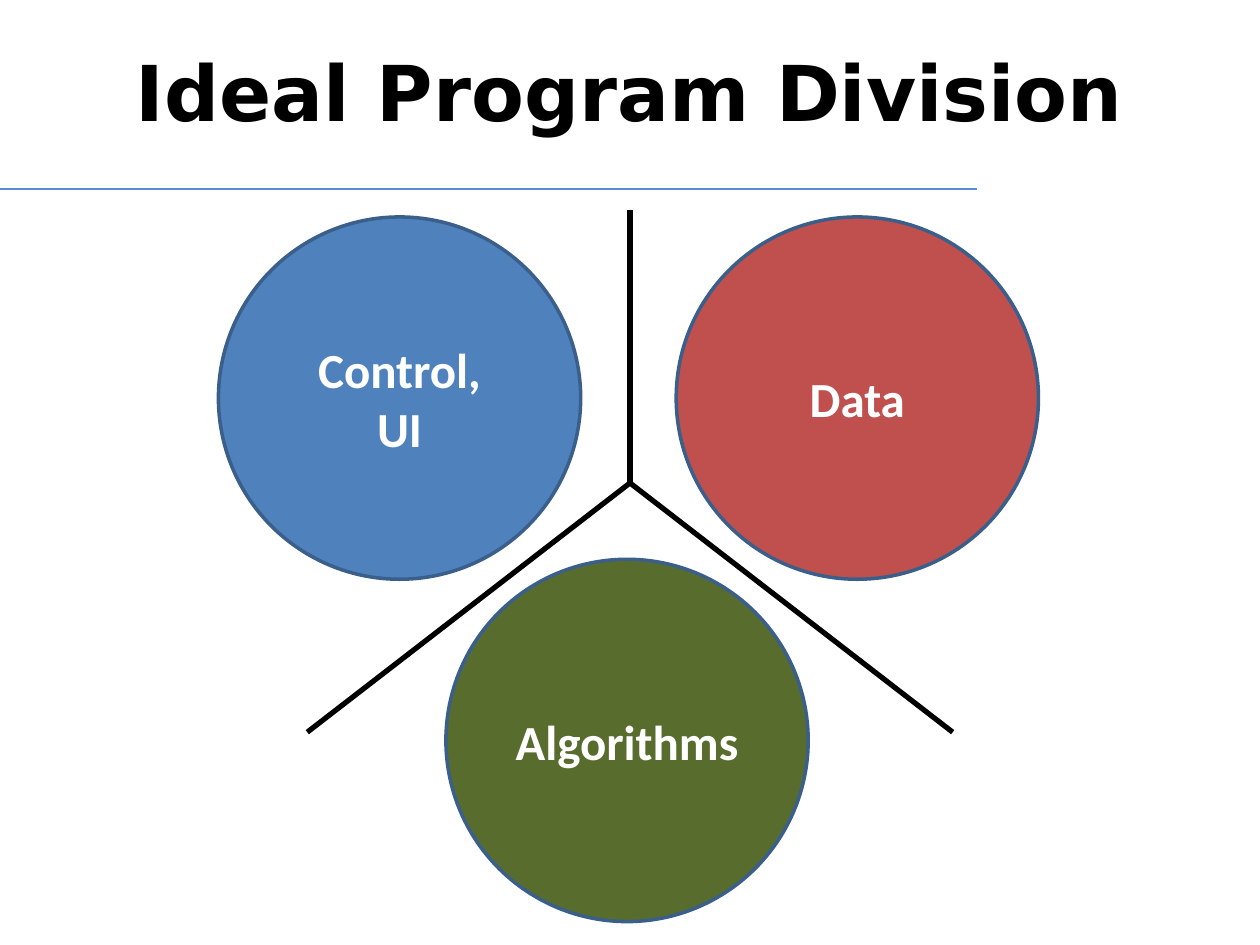
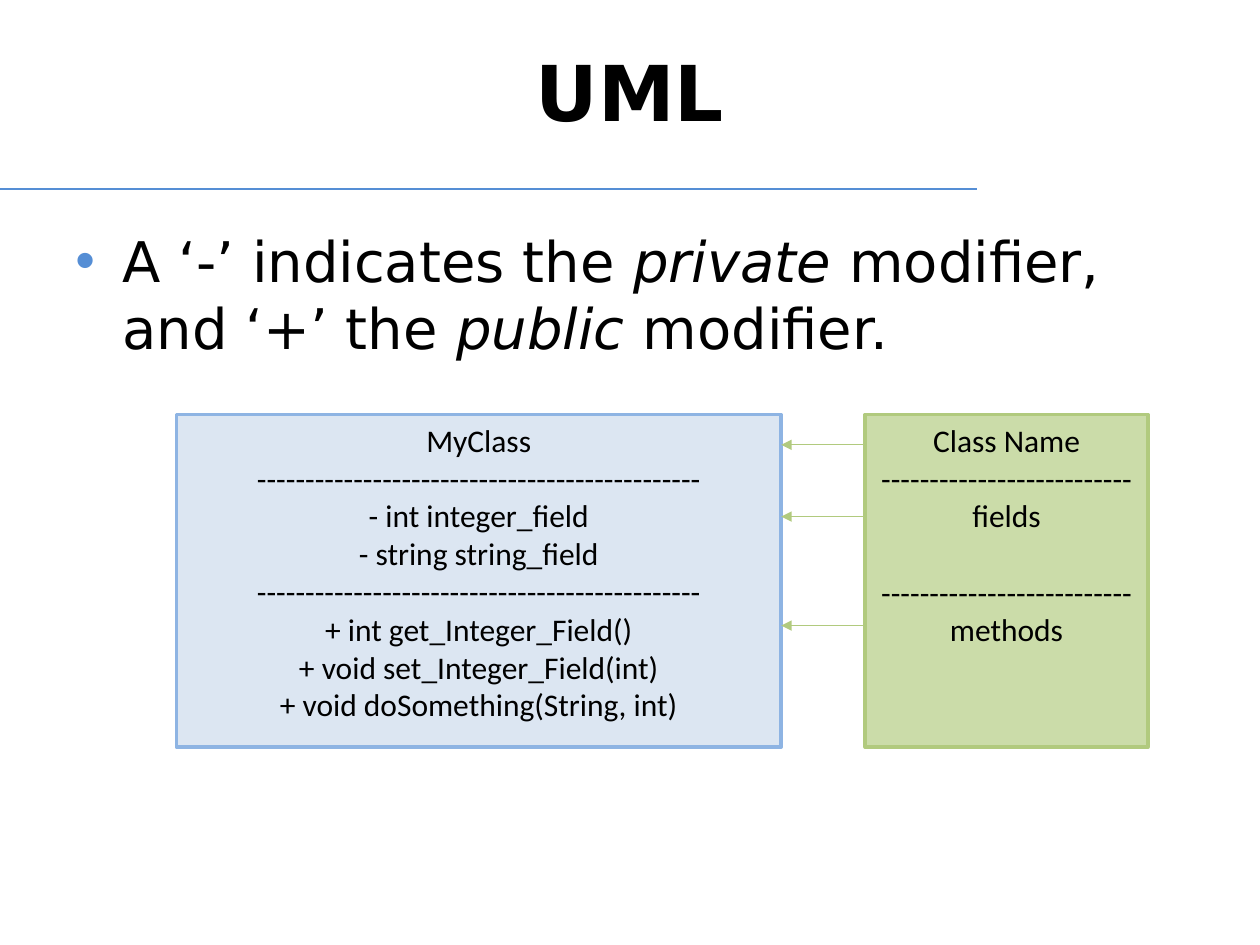
import pptx
import pptx.util
import pptx.dml.color
import pptx.enum.shapes
import pptx.enum.text
import pptx.oxml
import pptx.oxml.ns

Pt = pptx.util.Pt
RGBColor = pptx.dml.color.RGBColor
Shape = pptx.enum.shapes.MSO_SHAPE
Anchor = pptx.enum.text.MSO_ANCHOR
Align = pptx.enum.text.PP_ALIGN

BLACK = RGBColor(0x00, 0x00, 0x00)
WHITE = RGBColor(0xFF, 0xFF, 0xFF)
ACCENT = RGBColor(0x55, 0x8E, 0xD5)
BLUE = RGBColor(0x4F, 0x81, 0xBD)
RED = RGBColor(0xC0, 0x50, 0x4D)
OLIVE = RGBColor(0x58, 0x6D, 0x2D)
CIRCLE_EDGE = RGBColor(0x3A, 0x5F, 0x8B)
PALE_BLUE = RGBColor(0xDC, 0xE6, 0xF2)
BLUE_EDGE = RGBColor(0x8E, 0xB4, 0xE3)
PALE_GREEN = RGBColor(0xCB, 0xDC, 0xA9)
GREEN_EDGE = RGBColor(0xB1, 0xCA, 0x7E)

HEADING_FONT = "DejaVu Sans"
LABEL_FONT = "Calibri"

# Program parts: label lines, left, top, fill
CIRCLE_SIZE = 207
PARTS = [
    (["Control,", "UI"], 124.8, 124, BLUE),
    (["Data"], 386.4, 124, RED),
    (["Algorithms"], 254.8, 319.6, OLIVE),
]
DIVIDER_HUB = (360, 276)
DIVIDER_ENDS = [(360, 120), (544.4, 418.4), (175.6, 418.4)]

# Sentence pieces: text, italic
MODIFIER_RULE = [
    ("A ‘-’ indicates the ", False),
    ("private", True),
    (" modifier, and ‘+’ the ", False),
    ("public", True),
    (" modifier.", False),
]

CLASS_RULE = "-" * 46
CLASS_LINES = [
    "MyClass",
    CLASS_RULE,
    "- int integer_field",
    "- string string_field",
    CLASS_RULE,
    "+ int get_Integer_Field()",
    "+ void set_Integer_Field(int)",
    "+ void doSomething(String, int)",
]
LEGEND_RULE = "-" * 26
LEGEND_LINES = ["Class Name", LEGEND_RULE, "fields", LEGEND_RULE, "methods"]
SECOND_RULE = 3
LABEL_LINE_HEIGHT = 22

UML_TOP, UML_HEIGHT = 236.9, 190
CLASS_LEFT, CLASS_WIDTH = 100.8, 345.6
LEGEND_LEFT, LEGEND_WIDTH = 494.4, 161.6
ARROW_HEIGHTS = [254.2, 295.2, 357.5]


def format_run(span, font, size, color, bold=False, italic=False):
    span.font.name = font
    span.font.size = Pt(size)
    span.font.color.rgb = color
    span.font.bold = bold
    span.font.italic = italic


def add_line(page, start, end, color, width, arrow=False):
    line = page.shapes.add_connector(
        pptx.enum.shapes.MSO_CONNECTOR.STRAIGHT, *map(Pt, start + end))
    line.line.color.rgb = color
    line.line.width = Pt(width)
    if arrow:
        pptx.oxml.ns.qn("a:tailEnd")
        head = line.line._get_or_add_ln().makeelement(
            pptx.oxml.ns.qn("a:tailEnd"), {"type": "triangle"})
        line.line._get_or_add_ln().append(head)
    properties = line._element.spPr
    properties.append(properties.makeelement(pptx.oxml.ns.qn("a:effectLst"), {}))


def add_labelled_shape(page, kind, bounds, lines, fill, edge, size, color,
                       bold=False, anchor=Anchor.TOP):
    shape = page.shapes.add_shape(kind, *map(Pt, bounds))
    shape.shadow.inherit = False
    shape.fill.solid()
    shape.fill.fore_color.rgb = fill
    shape.line.color.rgb = edge
    shape.line.width = Pt(2)
    frame = shape.text_frame
    frame.word_wrap = True
    frame.vertical_anchor = anchor
    frame.text = "\n".join(lines)
    for para in frame.paragraphs:
        para.alignment = Align.CENTER
        for span in para.runs:
            format_run(span, LABEL_FONT, size, color, bold)
    return shape


def add_page(deck, title):
    """Add a title-only slide with the shared heading and rule."""
    page = deck.slides.add_slide(deck.slide_layouts[5])
    add_line(page, (0, 108), (558, 108), ACCENT, 0.75)
    heading = page.shapes.title
    heading.left, heading.top, heading.width, heading.height = map(
        Pt, (36, 21.6, 648, 90))
    frame = heading.text_frame
    frame.text = title
    frame.auto_size = pptx.enum.text.MSO_AUTO_SIZE.NONE
    frame.vertical_anchor = Anchor.TOP
    para = frame.paragraphs[0]
    para.alignment = Align.CENTER
    format_run(para.runs[0], HEADING_FONT, 44, BLACK, bold=True)
    return page


def add_bullet(page, pieces):
    box = page.shapes.add_textbox(*map(Pt, (36, 126, 648, 356.4)))
    box.text_frame.word_wrap = True
    para = box.text_frame.paragraphs[0]
    para.space_before = Pt(6.4)
    para.space_after = Pt(14.3)
    for text, italic in pieces:
        span = para.add_run()
        span.text = text
        format_run(span, HEADING_FONT, 32, BLACK, italic=italic)
    properties = para._p.get_or_add_pPr()
    properties.set("marL", str(Pt(27)))
    properties.set("indent", str(Pt(-27)))
    color = properties.makeelement(pptx.oxml.ns.qn("a:buClr"), {})
    color.append(color.makeelement(
        pptx.oxml.ns.qn("a:srgbClr"), {"val": str(ACCENT)}))
    properties.append(color)
    properties.append(properties.makeelement(
        pptx.oxml.ns.qn("a:buFont"), {"typeface": "Arial"}))
    properties.append(properties.makeelement(
        pptx.oxml.ns.qn("a:buChar"), {"char": "•"}))


def build_division(deck):
    page = add_page(deck, "Ideal Program Division")
    for lines, left, top, fill in PARTS:
        add_labelled_shape(
            page, Shape.OVAL, (left, top, CIRCLE_SIZE, CIRCLE_SIZE), lines,
            fill, CIRCLE_EDGE, 28, WHITE, bold=True, anchor=Anchor.MIDDLE)
    for end in DIVIDER_ENDS:
        add_line(page, DIVIDER_HUB, end, BLACK, 3)


def build_uml(deck):
    page = add_page(deck, "UML")
    add_bullet(page, MODIFIER_RULE)
    add_labelled_shape(
        page, Shape.RECTANGLE, (CLASS_LEFT, UML_TOP, CLASS_WIDTH, UML_HEIGHT),
        CLASS_LINES, PALE_BLUE, BLUE_EDGE, 18, BLACK)
    legend = add_labelled_shape(
        page, Shape.RECTANGLE, (LEGEND_LEFT, UML_TOP, LEGEND_WIDTH, UML_HEIGHT),
        LEGEND_LINES, PALE_GREEN, GREEN_EDGE, 18, BLACK)
    # Level the second rule with the one in the class box
    legend.text_frame.paragraphs[SECOND_RULE].space_before = Pt(LABEL_LINE_HEIGHT)
    for height in ARROW_HEIGHTS:
        add_line(page, (LEGEND_LEFT, height), (CLASS_LEFT + CLASS_WIDTH, height),
                 GREEN_EDGE, 0.75, arrow=True)


def main():
    deck = pptx.Presentation()
    deck.slide_width, deck.slide_height = Pt(720), Pt(540)
    build_division(deck)
    build_uml(deck)
    deck.save("out.pptx")


if __name__ == "__main__":
    main()
